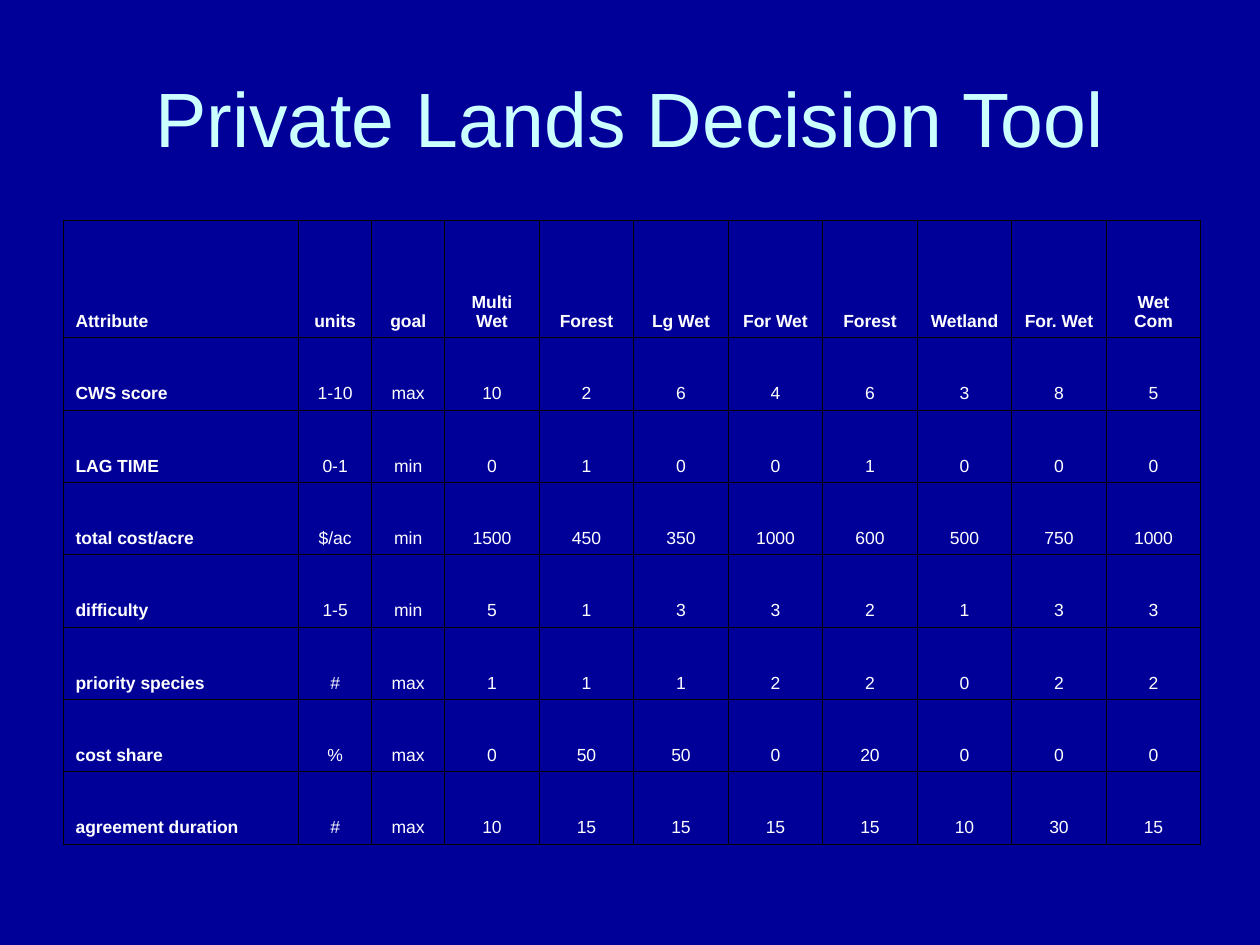
"""Build the Private Lands Decision Tool slide with its attribute table."""
from lxml.etree import SubElement
from pptx import Presentation
from pptx.dml.color import RGBColor
from pptx.enum.text import MSO_ANCHOR as Anchor, PP_ALIGN as Align
from pptx.oxml.ns import qn
from pptx.util import Inches, Pt

COLORS = {"background": "000099", "title": "CCFFFF", "text": "FFFFFF", "border": "000000"}
FONT = "Arial"
TITLE = "Private Lands Decision Tool"
ROWS = [
    ("Attribute", "units", "goal", "Multi Wet", "Forest", "Lg Wet", "For Wet", "Forest",
     "Wetland", "For. Wet", "Wet Com"),
    ("CWS score", "1-10", "max", 10, 2, 6, 4, 6, 3, 8, 5),
    ("LAG TIME", "0-1", "min", 0, 1, 0, 0, 1, 0, 0, 0),
    ("total cost/acre", "$/ac", "min", 1500, 450, 350, 1000, 600, 500, 750, 1000),
    ("difficulty", "1-5", "min", 5, 1, 3, 3, 2, 1, 3, 3),
    ("priority species", "#", "max", 1, 1, 1, 2, 2, 0, 2, 2),
    ("cost share", "%", "max", 0, 50, 50, 0, 20, 0, 0, 0),
    ("agreement duration", "#", "max", 10, 15, 15, 15, 15, 10, 30, 15),
]
COL_WIDTHS = [1.87] + [0.58] * 2 + [0.75] * 8
TABLE_HEIGHT, HEADER_HEIGHT = 4.95, 0.93
BODY_HEIGHT = (TABLE_HEIGHT - HEADER_HEIGHT) / (len(ROWS) - 1)


def add_run(p, text, size, color, bold=False):
    r = p.add_run()
    r.text = text
    r.font.name = FONT
    r.font.size = Pt(size)
    r.font.bold = bold
    r.font.color.rgb = RGBColor.from_string(COLORS[color])


def set_borders(cell):
    tc_pr = cell._tc.get_or_add_tcPr()
    for i, tag in enumerate(("a:lnL", "a:lnR", "a:lnT", "a:lnB")):
        ln = SubElement(tc_pr, qn(tag), w=str(Pt(0.45)))
        fill = SubElement(ln, qn("a:solidFill"))
        SubElement(fill, qn("a:srgbClr"), val=COLORS["border"])
        tc_pr.insert(i, ln)


def add_title(s):
    sp = s.shapes.title
    sp.left, sp.top, sp.width, sp.height = (Inches(v) for v in (0.5, 0.3, 9, 1.25))
    tf = sp.text_frame
    tf.word_wrap = True
    tf.vertical_anchor = Anchor.MIDDLE
    p = tf.paragraphs[0]
    p.alignment = Align.CENTER
    add_run(p, TITLE, 44, "title")


def add_attribute_table(s):
    table = s.shapes.add_table(len(ROWS), len(COL_WIDTHS), Inches(0.5), Inches(1.75),
                               Inches(sum(COL_WIDTHS)), Inches(TABLE_HEIGHT)).table
    table.first_row = table.horz_banding = False
    for column, width in zip(table.columns, COL_WIDTHS):
        column.width = Inches(width)
    for i, values in enumerate(ROWS):
        table.rows[i].height = Inches(BODY_HEIGHT if i else HEADER_HEIGHT)
        for j, value in enumerate(values):
            cell = table.cell(i, j)
            cell.fill.background()
            cell.vertical_anchor = Anchor.BOTTOM
            set_borders(cell)
            p = cell.text_frame.paragraphs[0]
            p.alignment = Align.CENTER if j else Align.LEFT
            add_run(p, str(value), 10, "text", bold=i == 0 or j == 0)


def main():
    prs = Presentation()
    prs.slide_width, prs.slide_height = Inches(10), Inches(7.5)
    s = prs.slides.add_slide(prs.slide_layouts[5])
    s.background.fill.solid()
    s.background.fill.fore_color.rgb = RGBColor.from_string(COLORS["background"])
    add_title(s)
    add_attribute_table(s)
    prs.save("out.pptx")


if __name__ == "__main__":
    main()
